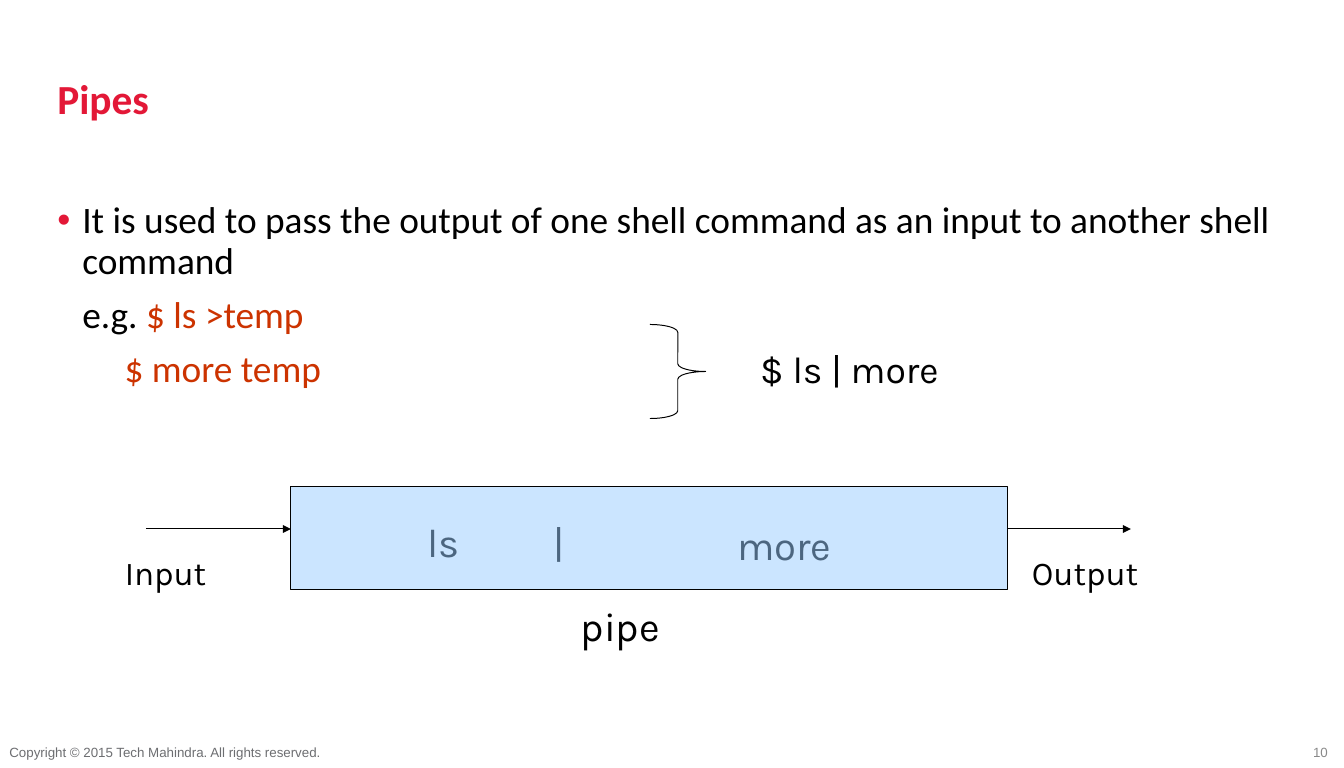
from dataclasses import dataclass

from lxml import etree
from pptx import Presentation
from pptx.dml.color import RGBColor
from pptx.enum.shapes import MSO_CONNECTOR, MSO_SHAPE
from pptx.enum.text import MSO_ANCHOR, PP_ALIGN
from pptx.oxml.ns import qn
from pptx.util import Inches, Pt

STRAIGHT = MSO_CONNECTOR.STRAIGHT
RECTANGLE = MSO_SHAPE.RECTANGLE
RIGHT_BRACE = MSO_SHAPE.RIGHT_BRACE
TOP, MIDDLE = MSO_ANCHOR.TOP, MSO_ANCHOR.MIDDLE
LEFT, RIGHT = PP_ALIGN.LEFT, PP_ALIGN.RIGHT


@dataclass(frozen=True)
class Theme:
    width: float = 14
    height: float = 8
    heading_font: str = "Calibri"
    label_font: str = "Karla"
    footer_font: str = "Arial"
    accent: str = "E31837"
    command: str = "CC3300"
    ink: str = "000000"
    pipe_fill: str = "99CCFF"
    copyright: str = "6D6E71"
    page_number: str = "898989"
    title_size: float = 31
    body_size: float = 28
    pipe_size: float = 30
    flow_size: float = 25
    footer_size: float = 10
    rule: float = 0.75
    text_inset: tuple = (0.1, 0.05)
    label_inset: tuple = (0.13, 0.06)


THEME = Theme()


def style(run, size, font, color, bold=False):
    run.font.size = Pt(size)
    run.font.name = font
    run.font.bold = bold
    run.font.color.rgb = RGBColor.from_string(color)


def add_frame(slide, box, anchor=TOP, inset=THEME.text_inset):
    frame = slide.shapes.add_textbox(*map(Inches, box)).text_frame
    frame.word_wrap = True
    frame.vertical_anchor = anchor
    frame.margin_left = frame.margin_right = Inches(inset[0])
    frame.margin_top = frame.margin_bottom = Inches(inset[1])
    return frame


def add_label(slide, box, text, size, font=THEME.label_font, color=THEME.ink,
              anchor=TOP, align=LEFT, inset=THEME.text_inset, bold=False):
    frame = add_frame(slide, box, anchor, inset)
    frame.text = text
    paragraph = frame.paragraphs[0]
    paragraph.alignment = align
    style(paragraph.runs[0], size, font, color, bold)
    return paragraph


def outline(shape):
    shape.line.color.rgb = RGBColor.from_string(THEME.ink)
    shape.line.width = Pt(THEME.rule)


def add_arrow(slide, start, end, y):
    arrow = slide.shapes.add_connector(
        STRAIGHT, Inches(start), Inches(y), Inches(end), Inches(y))
    outline(arrow)
    etree.SubElement(arrow.line._get_or_add_ln(), qn("a:tailEnd"), type="triangle")
    etree.SubElement(arrow._element.spPr, qn("a:effectLst"))


def add_bullet(paragraph, color):
    properties = paragraph._p.get_or_add_pPr()
    bullet_color = etree.SubElement(properties, qn("a:buClr"))
    etree.SubElement(bullet_color, qn("a:srgbClr"), val=color)
    etree.SubElement(properties, qn("a:buFont"), typeface="Arial")
    etree.SubElement(properties, qn("a:buChar"), char="•")


def add_center_tab(paragraph, position):
    tabs = etree.SubElement(paragraph._p.get_or_add_pPr(), qn("a:tabLst"))
    etree.SubElement(tabs, qn("a:tab"), pos=str(Inches(position)), algn="ctr")


def draw_title(slide, box):
    title = add_label(slide, box, "Pipes", THEME.title_size, THEME.heading_font,
                      THEME.accent, MIDDLE, bold=True)
    title.line_spacing = 0.9


def draw_explanation(slide, box):
    frame = add_frame(slide, box)
    hang = 0.26
    statements = [
        (hang, [("It is used to pass the output of one shell command "
                 "as an input to another shell command", THEME.ink)]),
        (hang, [("e.g. ", THEME.ink), ("$ ls >temp", THEME.command)]),
        (0.7, [("$ more temp", THEME.command)]),
    ]
    for index, (margin, parts) in enumerate(statements):
        paragraph = frame.add_paragraph() if index else frame.paragraphs[0]
        paragraph.line_spacing = 0.9
        paragraph.space_before = Pt(10.5 if index else 0)
        properties = paragraph._p.get_or_add_pPr()
        properties.set("marL", str(Inches(margin)))
        properties.set("indent", str(0 if index else -Inches(hang)))
        if not index:
            add_bullet(paragraph, THEME.accent)
        for text, color in parts:
            run = paragraph.add_run()
            run.text = text
            style(run, THEME.body_size, THEME.heading_font, color)


def draw_combined_command(slide, box):
    left, top, width, height = box
    brace_width = 0.58
    brace = slide.shapes.add_shape(
        RIGHT_BRACE, *map(Inches, (left, top, brace_width, height)))
    brace.adjustments[0] = 0.14
    brace.shadow.inherit = False
    brace.fill.background()
    outline(brace)
    command_left = left + 1.05
    add_label(slide, (command_left, top + 0.18, left + width - command_left, 0.57),
              "$ ls | more", THEME.body_size)


def draw_pipe(slide, box):
    left, top, width, height = box
    right = left + width
    pipe_left, pipe_width = left + 1.51, 7.47
    pipe_right = pipe_left + pipe_width
    flow_y = top + 0.44

    first = add_label(slide, (pipe_left + 1.29, top + 0.26, 2.45, 0.63), "ls\t|",
                      THEME.pipe_size, inset=THEME.label_inset)
    add_center_tab(first, 1.37)
    add_label(slide, (pipe_left + 4.52, top + 0.29, 1.79, 0.63), "more",
              THEME.pipe_size, inset=THEME.label_inset)
    for text, label_left, label_width in (("Input", left - 0.35, 1.4),
                                          ("Output", pipe_right + 0.12, 2.1)):
        add_label(slide, (label_left, top + 0.62, label_width, 0.54), text,
                  THEME.flow_size, inset=THEME.label_inset)

    add_arrow(slide, pipe_right, right, flow_y)
    pipe = slide.shapes.add_shape(
        RECTANGLE, *map(Inches, (pipe_left, top, pipe_width, height)))
    pipe.shadow.inherit = False
    pipe.fill.solid()
    pipe.fill.fore_color.rgb = RGBColor.from_string(THEME.pipe_fill)
    fill_color = pipe._element.spPr.find(qn("a:solidFill")).find(qn("a:srgbClr"))
    etree.SubElement(fill_color, qn("a:alpha"), val="50000")
    outline(pipe)
    add_arrow(slide, left, pipe_left, flow_y)
    add_label(slide, (pipe_left + 2.92, top + height + 0.08, 1.28, 0.6), "pipe",
              THEME.pipe_size)


def draw_footer(slide, box):
    left, top, width, height = box
    number_width = 0.62
    add_label(slide, (left + width - number_width, top, number_width, height), "10",
              THEME.footer_size, THEME.footer_font, THEME.page_number, MIDDLE, RIGHT)
    add_label(slide, (left, top, width / 4, height),
              "Copyright © 2015 Tech Mahindra. All rights reserved.",
              THEME.footer_size, THEME.footer_font, THEME.copyright, MIDDLE)


def main():
    deck = Presentation()
    deck.slide_width = Inches(THEME.width)
    deck.slide_height = Inches(THEME.height)
    slide = deck.slides.add_slide(deck.slide_layouts[6])
    margin = 0.5
    content_width = THEME.width - 2 * margin
    draw_title(slide, (margin, 0.8, content_width, 0.5))
    draw_explanation(slide, (margin, 2.05, content_width, 5.5))
    draw_combined_command(slide, (6.77, 3.38, 4.2, 0.98))
    draw_pipe(slide, (1.52, 5.07, 10.26, 1.07))
    draw_footer(slide, (0, 7.71, 13.93, 0.25))
    deck.save("out.pptx")


if __name__ == "__main__":
    main()
